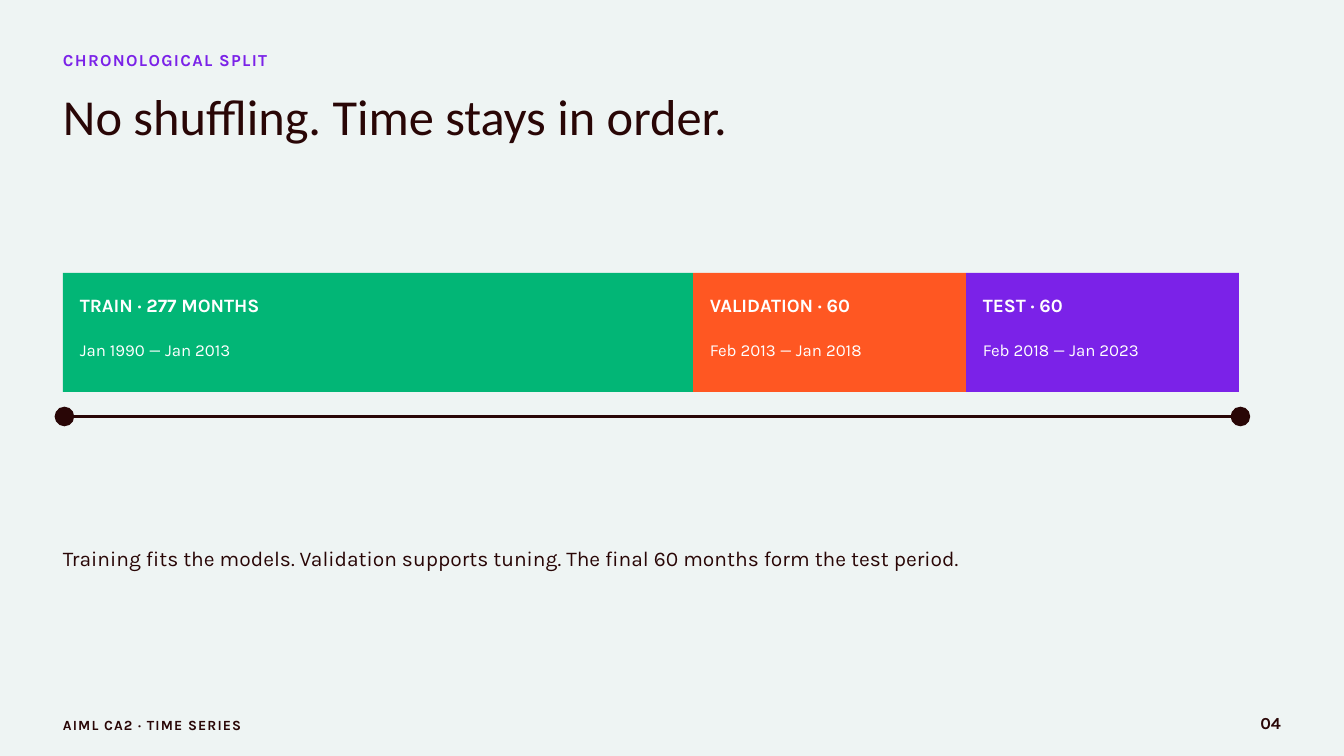
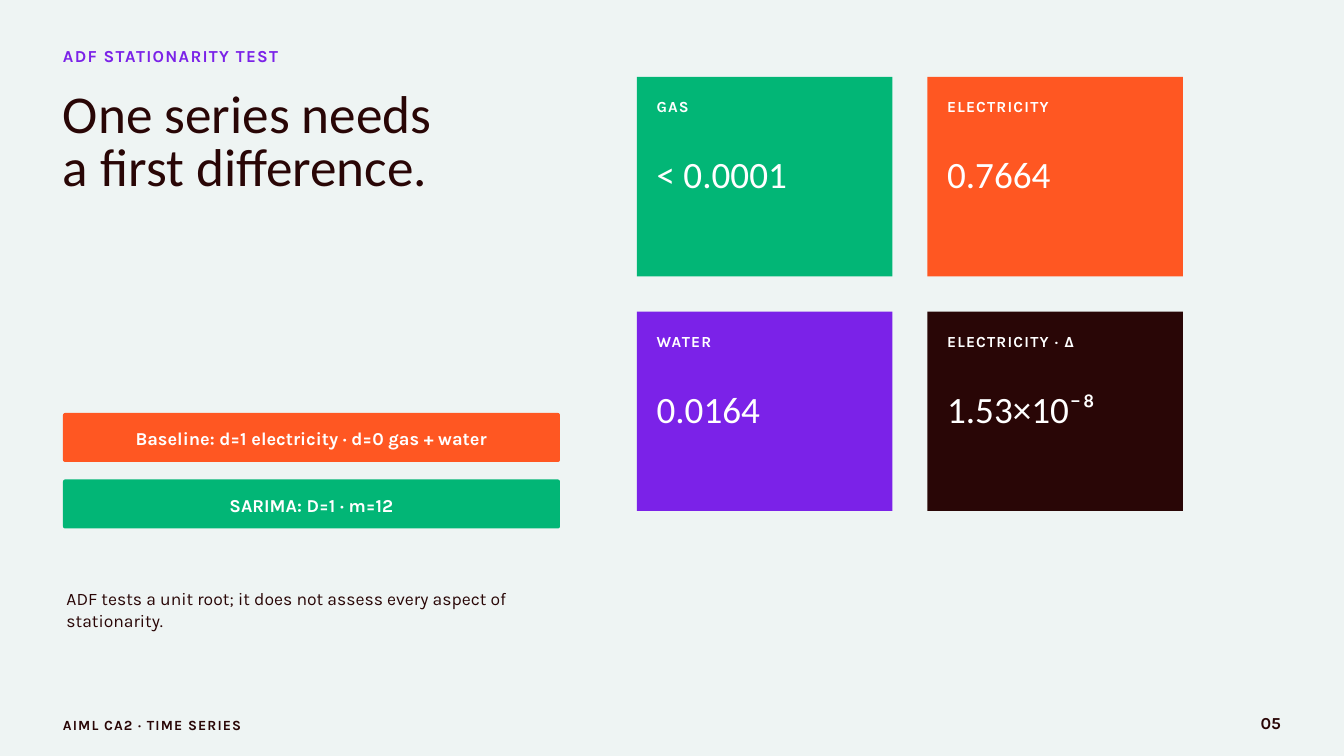
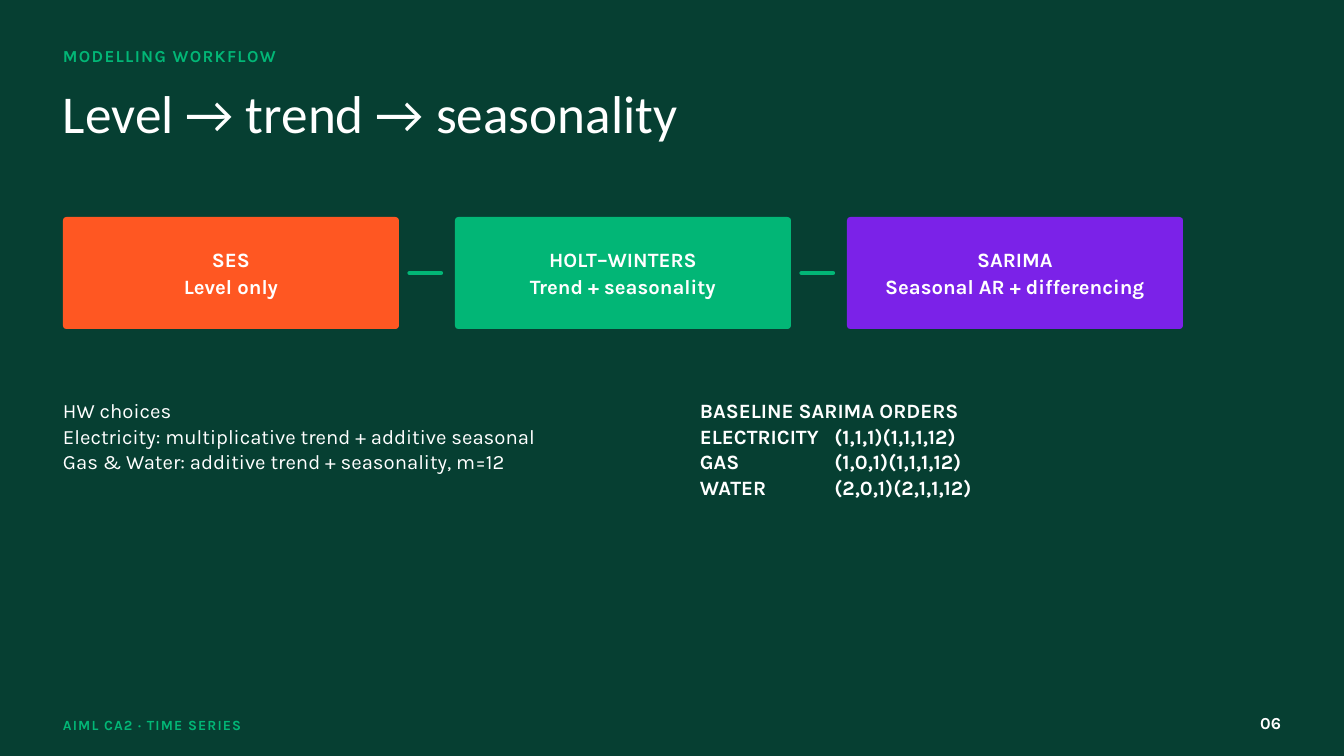
from lxml.etree import SubElement
from pptx import Presentation
from pptx.dml.color import RGBColor
from pptx.enum.shapes import MSO_CONNECTOR, MSO_SHAPE as Kind
from pptx.enum.text import MSO_ANCHOR as Anchor, MSO_AUTO_SIZE, PP_ALIGN as Align
from pptx.oxml.ns import qn
from pptx.util import Pt

PX = 9525
MARGIN = 90
PALE, FOREST, INK, WHITE = "EEF4F3", "063F32", "290606", "FFFFFF"
GREEN, ORANGE, VIOLET = "02B676", "FF5722", "7B22E8"
rgb = RGBColor.from_string


def place(page, area, kind=None, fill=None, radius=None):
    area = [length * PX for length in area]
    if kind is None:
        return page.shapes.add_textbox(*area)
    shape = page.shapes.add_shape(kind, *area)
    shape.shadow.inherit = False
    shape.fill.solid()
    shape.fill.fore_color.rgb = rgb(fill)
    shape.line.fill.background()
    if radius:
        shape.adjustments[0] = radius / min(area[2:]) * PX
    return shape


def write(shape, text, size, leading, color, bold=False, font="Karla",
          align=Align.LEFT, anchor=Anchor.TOP, insets=(0, 0, 0, 0), spacing=0, tab=None):
    frame = shape.text_frame
    frame.word_wrap = True
    frame.auto_size = MSO_AUTO_SIZE.NONE
    frame.vertical_anchor = anchor
    (frame.margin_left, frame.margin_top,
     frame.margin_right, frame.margin_bottom) = [inset * PX for inset in insets]
    frame.text = text
    for para in frame.paragraphs:
        properties = para._p.get_or_add_pPr()
        if tab:
            stops = SubElement(properties, qn("a:tabLst"))
            SubElement(stops, qn("a:tab"), pos=str(tab * PX), algn="l")
        para.alignment = align
        para.line_spacing = Pt(leading)
        para.font.name = font
        para.font.size = Pt(size)
        para.font.bold = bold
        para.font.color.rgb = rgb(color)
        if spacing:
            properties.get_or_add_defRPr().set("spc", str(round(spacing * 100)))


deck = Presentation()
deck.slide_width, deck.slide_height = 1920 * PX, 1080 * PX

openings = [
    ("CHRONOLOGICAL SPLIT", "No shuffling. Time stays in order.",
     66, (1500, 74), 54, 52.9, PALE, INK, VIOLET, INK),
    ("ADF STATIONARITY TEST", "One series needs\na first difference.",
     61, (800, 153), 57, 55.9, PALE, INK, VIOLET, INK),
    ("MODELLING WORKFLOW", "Level → trend → seasonality",
     61, (1500, 79), 57, 55.9, FOREST, WHITE, GREEN, GREEN),
]
pages = []
for number, (eyebrow, heading, top, extent, size, leading,
             back, ink, accent, footer) in enumerate(openings, 4):
    page = deck.slides.add_slide(deck.slide_layouts[5])
    page.background.fill.solid()
    page.background.fill.fore_color.rgb = rgb(back)
    title = page.shapes.title
    title.left, title.top = MARGIN * PX, (top + 71) * PX
    title.width, title.height = [length * PX for length in extent]
    write(title, heading, size, leading, ink, font="Calibri")
    write(place(page, (MARGIN, top, 600, 33)), eyebrow, 18, 25.2, accent, bold=True, spacing=1.4)
    write(place(page, (MARGIN, 1019, 500, 28)), "AIML CA2 · TIME SERIES",
          15, 21, footer, bold=True, spacing=1.2)
    write(place(page, (1740, 1017, 90, 30)), f"{number:02}", 18, 22.5, ink,
          bold=True, align=Align.RIGHT)
    pages.append(page)
split, stationarity, workflow = pages

rules = [(split, 90, 1770, 595, 3.75, INK)]
rules += [(workflow, left, left + 45, 390, 4.5, GREEN) for left in (585, 1145)]
for page, start, end, height, weight, color in rules:
    rule = page.shapes.add_connector(MSO_CONNECTOR.STRAIGHT,
                                     start * PX, height * PX, end * PX, height * PX)
    rule.line.width = Pt(weight)
    rule.line.color.rgb = rgb(color)
    rule.line._get_or_add_ln().set("cap", "rnd")
    SubElement(rule._element.spPr, qn("a:effectLst"))

left = MARGIN
for name, dates, width, color in [
    ("TRAIN · 277 MONTHS", "Jan 1990 — Jan 2013", 900, GREEN),
    ("VALIDATION · 60", "Feb 2013 — Jan 2018", 390, ORANGE),
    ("TEST · 60", "Feb 2018 — Jan 2023", 390, VIOLET),
]:
    place(split, (left, 390, width, 170), Kind.RECTANGLE, color)
    write(place(split, (left + 24, 418, width - 48, 33)), name, 20.2, 25.3, WHITE, bold=True)
    write(place(split, (left + 24, 484, width - 48, 30)), dates, 18, 22.5, WHITE)
    left += width
for left in (78, 1758):
    place(split, (left, 581, 28, 28), Kind.OVAL, INK)
write(place(split, (MARGIN, 778, 1450, 37)),
      "Training fits the models. Validation supports tuning. "
      "The final 60 months form the test period.", 22.5, 28.1, INK)

for index, (series, value, color) in enumerate([
    ("GAS", "< 0.0001", GREEN),
    ("ELECTRICITY", "0.7664", ORANGE),
    ("WATER", "0.0164", VIOLET),
    ("ELECTRICITY · Δ", "1.53×10⁻⁸", INK),
]):
    left, top = 910 + index % 2 * 415, 110 + index // 2 * 335
    place(stationarity, (left, top, 365, 285), Kind.RECTANGLE, color)
    write(place(stationarity, (left + 28, top + 25, 310, 29)), series,
          16.5, 23.1, WHITE, bold=True, spacing=1.3)
    write(place(stationarity, (left + 28, top + 118, 310, 55)), value,
          39.8, 39, WHITE, font="Calibri")

centred = dict(bold=True, align=Align.CENTER, anchor=Anchor.MIDDLE, insets=(6, 6, 6, 9))
for index, (setting, color) in enumerate([
    ("Baseline: d=1 electricity · d=0 gas + water", ORANGE),
    ("SARIMA: D=1 · m=12", GREEN),
]):
    pill = place(stationarity, (MARGIN, 590 + index * 95, 710, 70),
                 Kind.ROUNDED_RECTANGLE, color, radius=3)
    write(pill, setting, 19.5, 27.3, WHITE, **centred)
write(place(stationarity, (95, 839, 720, 61)),
      "ADF tests a unit root; it does not assess every aspect of stationarity.",
      18.8, 23.4, INK)

for index, (model, color) in enumerate([
    ("SES\nLevel only", ORANGE),
    ("HOLT–WINTERS\nTrend + seasonality", GREEN),
    ("SARIMA\nSeasonal AR + differencing", VIOLET),
]):
    step = place(workflow, (MARGIN + index * 560, 310, 480, 160),
                 Kind.ROUNDED_RECTANGLE, color, radius=5)
    write(step, model, 21.8, 28.3, WHITE, **centred)
write(place(workflow, (MARGIN, 568, 780, 108)),
      "HW choices\n"
      "Electricity: multiplicative trend + additive seasonal\n"
      "Gas & Water: additive trend + seasonality, m=12", 21.8, 27.2, WHITE)
write(place(workflow, (1000, 568, 760, 145)),
      "BASELINE SARIMA ORDERS\n"
      "ELECTRICITY\t(1,1,1)(1,1,1,12)\n"
      "GAS\t(1,0,1)(1,1,1,12)\n"
      "WATER\t(2,0,1)(2,1,1,12)", 21.8, 27.2, WHITE, bold=True, tab=192)

deck.save("out.pptx")
